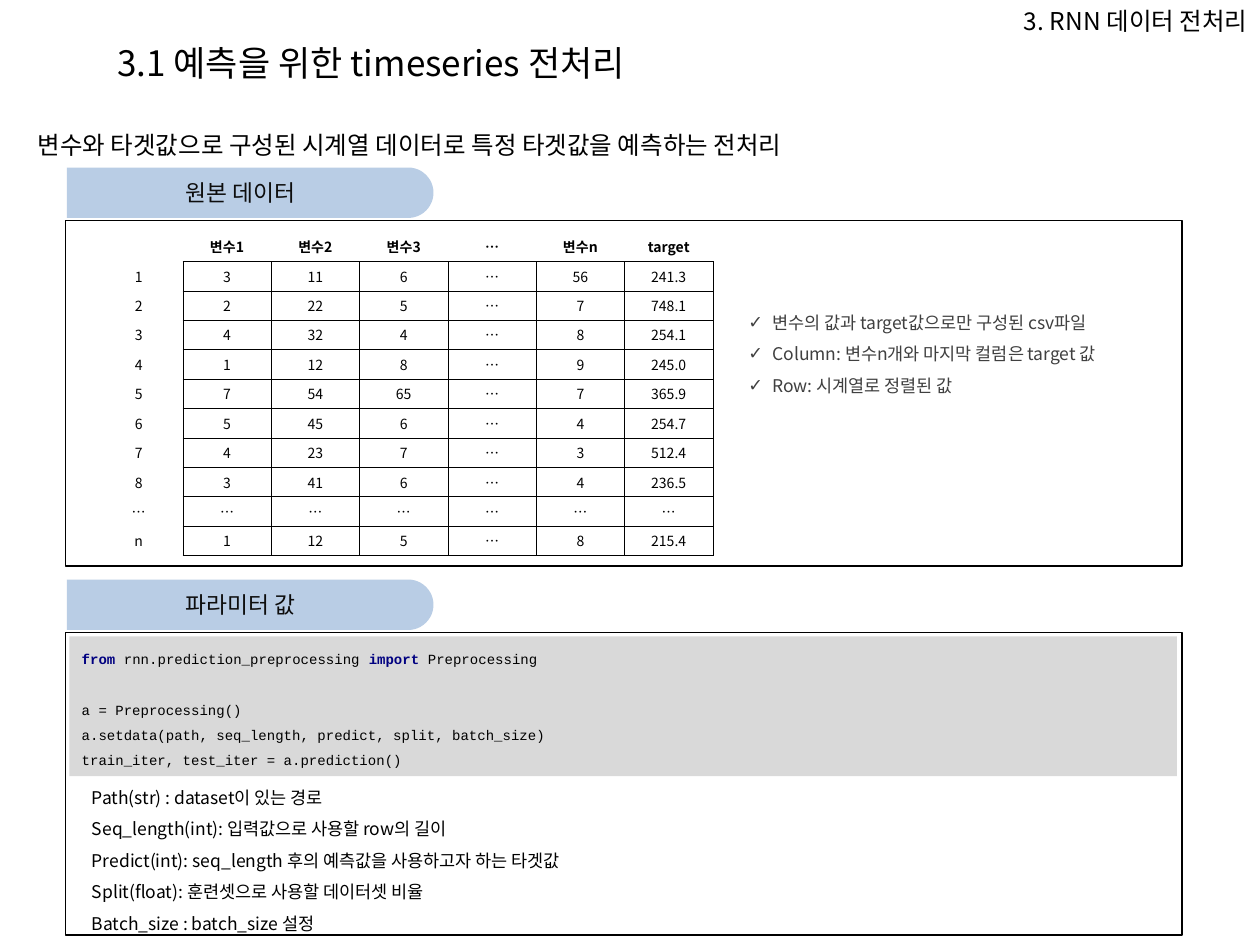
import pptx
import pptx.dml.color
import pptx.enum.shapes
import pptx.enum.text
import pptx.oxml
import pptx.oxml.ns
import pptx.util

Inches = pptx.util.Inches
Pt = pptx.util.Pt
RGBColor = pptx.dml.color.RGBColor
MSO_SHAPE = pptx.enum.shapes.MSO_SHAPE
MSO_ANCHOR = pptx.enum.text.MSO_ANCHOR
PP_ALIGN = pptx.enum.text.PP_ALIGN

BLACK = RGBColor(0x00, 0x00, 0x00)
NEAR_BLACK = RGBColor(0x0D, 0x0D, 0x0D)
DARK_GRAY = RGBColor(0x40, 0x40, 0x40)
LIGHT_GRAY = RGBColor(0xD9, 0xD9, 0xD9)
PALE_BLUE = RGBColor(0xB9, 0xCD, 0xE5)
NAVY = RGBColor(0x00, 0x00, 0x80)
BODY_FONT = "Noto Sans CJK KR"
CODE_FONT = "Courier New"

HEADERS = ["", "변수1", "변수2", "변수3", "…", "변수n", "target"]
ROWS = [
    ["1", "3", "11", "6", "…", "56", "241.3"],
    ["2", "2", "22", "5", "…", "7", "748.1"],
    ["3", "4", "32", "4", "…", "8", "254.1"],
    ["4", "1", "12", "8", "…", "9", "245.0"],
    ["5", "7", "54", "65", "…", "7", "365.9"],
    ["6", "5", "45", "6", "…", "4", "254.7"],
    ["7", "4", "23", "7", "…", "3", "512.4"],
    ["8", "3", "41", "6", "…", "4", "236.5"],
    ["…"] * 7,
    ["n", "1", "12", "5", "…", "8", "215.4"],
]
DATA_NOTES = [
    "변수의 값과 target값으로만 구성된 csv파일",
    "Column: 변수n개와 마지막 컬럼은 target 값",
    "Row: 시계열로 정렬된 값",
]
PARAMETERS = [
    "Path(str) : dataset이 있는 경로",
    "Seq_length(int): 입력값으로 사용할 row의 길이",
    "Predict(int): seq_length 후의 예측값을 사용하고자 하는 타겟값",
    "Split(float): 훈련셋으로 사용할 데이터셋 비율",
    "Batch_size : batch_size 설정",
]
CODE_LINES = [
    "from rnn.prediction_preprocessing import Preprocessing",
    "",
    "a = Preprocessing()",
    "a.setdata(path, seq_length, predict, split, batch_size)",
    "train_iter, test_iter = a.prediction()",
]
KEYWORDS = ("from", "import")


def place(shape, left, top, width, height):
    shape.left, shape.top = Inches(left), Inches(top)
    shape.width, shape.height = Inches(width), Inches(height)


def set_margins(target, size):
    target.margin_left = target.margin_right = size
    target.margin_top = target.margin_bottom = size


def format_paragraph(paragraph, size, color=BLACK, bold=False, align=PP_ALIGN.LEFT):
    paragraph.alignment = align
    paragraph.space_before = Pt(0)
    font = paragraph.font
    font.name, font.size, font.bold = BODY_FONT, Pt(size), bold
    font.color.rgb = color
    for run in paragraph.runs:
        east_asian = pptx.oxml.parse_xml(
            f'<a:ea {pptx.oxml.ns.nsdecls("a")} typeface="{BODY_FONT}"/>')
        run._r.get_or_add_rPr().append(east_asian)


def set_bullet(paragraph, character):
    properties = paragraph._p.get_or_add_pPr()
    indent = Inches(0.19) if character else 0
    properties.set("marL", str(indent))
    properties.set("indent", str(-indent))
    bullet = f'buChar char="{character}"' if character else "buNone"
    element = pptx.oxml.parse_xml(f'<a:{bullet} {pptx.oxml.ns.nsdecls("a")}/>')
    properties.insert_element_before(element, "a:tabLst", "a:defRPr", "a:extLst")


def add_box(slide, kind, box, fill=None, line=None):
    left, top, width, height = map(Inches, box)
    shape = slide.shapes.add_shape(kind, left, top, width, height)
    shape.shadow.inherit = False
    if fill is None:
        shape.fill.background()
    else:
        shape.fill.solid()
        shape.fill.fore_color.rgb = fill
    if line is None:
        shape.line.fill.background()
    else:
        shape.line.color.rgb = line
        shape.line.width = Pt(1)
    return shape


def fill_title(title, box, text):
    place(title, *box)
    frame = title.text_frame
    frame.text = text
    frame.auto_size = pptx.enum.text.MSO_AUTO_SIZE.NONE
    frame.vertical_anchor = MSO_ANCHOR.MIDDLE
    format_paragraph(frame.paragraphs[0], 20)


def fill_list(body, box, items, color, bullet=None):
    place(body, *box)
    frame = body.text_frame
    frame.text = "\n".join(items)
    frame.auto_size = pptx.enum.text.MSO_AUTO_SIZE.NONE
    set_margins(frame, 0)
    for paragraph in frame.paragraphs:
        format_paragraph(paragraph, 10, color)
        paragraph.line_spacing = 1.5
        set_bullet(paragraph, bullet)


def add_caption(slide, box, text, align):
    frame = slide.shapes.add_textbox(*map(Inches, box)).text_frame
    frame.word_wrap = True
    frame.text = text
    format_paragraph(frame.paragraphs[0], 14, align=align)


def add_section(slide, box, heading):
    left, top, width, height = box
    add_box(slide, MSO_SHAPE.RECTANGLE, box, line=BLACK)
    thickness, length = 0.4, 2.91
    center_x, center_y = left + length / 2 + 0.01, top - 0.22
    tab = add_box(slide, MSO_SHAPE.ROUND_2_SAME_RECTANGLE,
                  (center_x - thickness / 2, center_y - length / 2, thickness, length),
                  fill=PALE_BLUE)
    tab.rotation = 90
    tab.adjustments[0], tab.adjustments[1] = 0.5, 0
    label = add_box(slide, MSO_SHAPE.RECTANGLE,
                    (left + 0.02, top - 0.41, 2.74, 0.37), fill=PALE_BLUE)
    frame = label.text_frame
    frame.text = heading
    frame.vertical_anchor = MSO_ANCHOR.MIDDLE
    set_margins(frame, 0)
    format_paragraph(frame.paragraphs[0], 13, NEAR_BLACK, align=PP_ALIGN.CENTER)


def set_borders(cell, visible_sides):
    properties = cell._tc.get_or_add_tcPr()
    for position, side in enumerate("LRTB"):
        paint = (f'<a:solidFill><a:srgbClr val="{BLACK}"/></a:solidFill>'
                 if side in visible_sides else "<a:noFill/>")
        properties.insert(position, pptx.oxml.parse_xml(
            f'<a:ln{side} {pptx.oxml.ns.nsdecls("a")} w="{Pt(0.25)}">{paint}</a:ln{side}>'))


def add_data_table(slide, box):
    grid = [HEADERS] + ROWS
    table = slide.shapes.add_table(len(grid), len(HEADERS), *map(Inches, box)).table
    table.first_row = table.horz_banding = False
    for column in table.columns:
        column.width = Inches(box[2] / len(HEADERS))
    for row_index, values in enumerate(grid):
        table.rows[row_index].height = Inches(box[3] / len(grid))
        for column_index, value in enumerate(values):
            cell = table.cell(row_index, column_index)
            cell.text = value
            cell.vertical_anchor = MSO_ANCHOR.MIDDLE
            set_margins(cell, 0)
            cell.fill.background()
            format_paragraph(cell.text_frame.paragraphs[0], 8,
                             bold=row_index == 0, align=PP_ALIGN.CENTER)
            if row_index and column_index:
                sides = "LRTB"
            else:
                sides = "R" if row_index else "B" if column_index else ""
            set_borders(cell, sides)


def add_code(slide, box):
    frame = add_box(slide, MSO_SHAPE.RECTANGLE, box, fill=LIGHT_GRAY).text_frame
    frame.word_wrap = True
    frame.vertical_anchor = MSO_ANCHOR.TOP
    paragraph = frame.paragraphs[0]
    paragraph.alignment = PP_ALIGN.LEFT
    paragraph.line_spacing = 1.5
    paragraph.font.size = Pt(8)
    for index, line in enumerate(CODE_LINES):
        if index:
            paragraph.add_line_break()
        words = line.split(" ") if line.startswith(KEYWORDS) else [line]
        for position, word in enumerate(words):
            run = paragraph.add_run()
            run.text = word + (" " if position < len(words) - 1 else "")
            run.font.name, run.font.size = CODE_FONT, Pt(8)
            run.font.bold = word in KEYWORDS
            run.font.color.rgb = NAVY if word in KEYWORDS else BLACK


def main():
    presentation = pptx.Presentation()
    presentation.slide_width, presentation.slide_height = Inches(10), Inches(7.5)
    slide = presentation.slides.add_slide(presentation.slide_layouts[3])
    title, notes, parameters = slide.placeholders
    fill_title(title, (0.83, 0.21, 7.48, 0.57), "3.1 예측을 위한 timeseries 전처리")
    add_caption(slide, (6.36, 0, 3.64, 0.34), "3. RNN 데이터 전처리", PP_ALIGN.RIGHT)
    add_caption(slide, (0.2, 0.98, 9.61, 0.34),
                "변수와 타겟값으로 구성된 시계열 데이터로 특정 타겟값을 예측하는 전처리", PP_ALIGN.LEFT)
    add_section(slide, (0.52, 1.75, 8.86, 2.74), "원본 데이터")
    add_data_table(slide, (0.75, 1.84, 4.91, 2.57))
    fill_list(notes, (5.94, 2.39, 3.13, 0.76), DATA_NOTES, DARK_GRAY, "✓")
    add_code(slide, (0.55, 5.05, 8.79, 1.11))
    add_section(slide, (0.52, 5.02, 8.86, 2.4), "파라미터 값")
    fill_list(parameters, (0.73, 6.16, 8.43, 1.26), PARAMETERS, BLACK)
    presentation.save("out.pptx")


if __name__ == "__main__":
    main()
